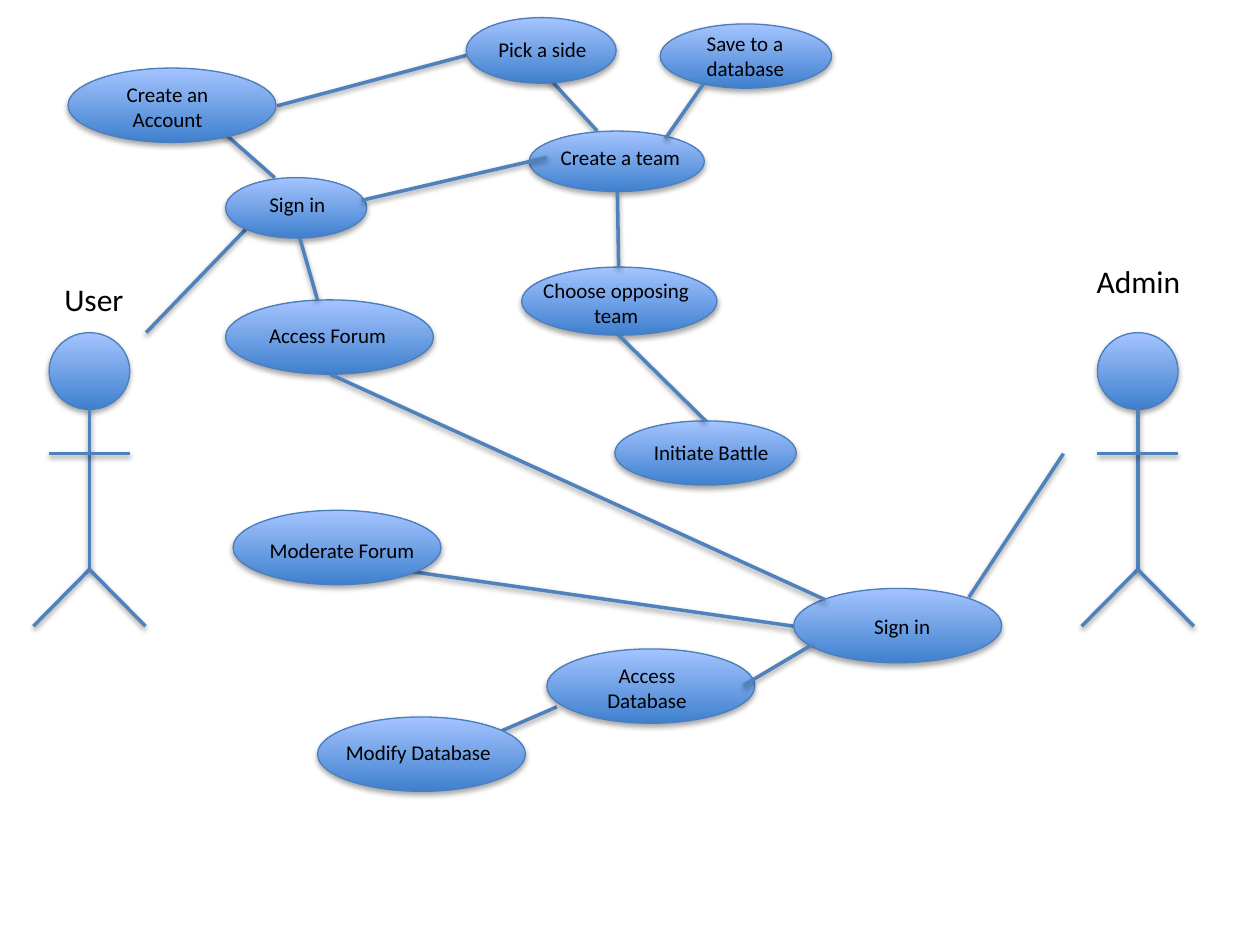
from lxml import etree
from pptx import Presentation
from pptx.dml.color import RGBColor
from pptx.enum.shapes import MSO_CONNECTOR, MSO_SHAPE
from pptx.enum.text import MSO_AUTO_SIZE, PP_ALIGN
from pptx.oxml.ns import nsdecls, qn
from pptx.util import Inches, Pt

LINE, OVAL = MSO_CONNECTOR.STRAIGHT, MSO_SHAPE.OVAL
LEFT, CENTER = PP_ALIGN.LEFT, PP_ALIGN.CENTER
FIT = MSO_AUTO_SIZE.SHAPE_TO_FIT_TEXT
SLIDE_WIDTH, SLIDE_HEIGHT = 10, 7.5
WIDE = (1.65, 0.59)
ONE_ROW, TWO_ROWS = 0.3, 0.5

ACTORS = [
    ("User", 0.71, (0.12, 2.17, 1.25, 0.4)),
    ("Admin", 9.03, (8.59, 2.03, 0.89, 0.4)),
]
HEAD_SIZE = (0.64, 0.61)
HEAD_TOP, NECK, ARMS, HIPS, FEET = 2.64, 3.24, 3.6, 4.52, 4.97
STRIDE = 0.445

USE_CASES = [
    ("Sign in", (1.79, 1.41), (1.12, 0.48), (1.95, 1.47, 0.82, ONE_ROW), CENTER),
    ("Pick a side", (3.7, 0.14), (1.19, 0.52), (3.15, 0.24, 2.31, ONE_ROW), CENTER),
    ("Create a team", (4.2, 1.04), (1.39, 0.48), (4.16, 1.1, 1.53, ONE_ROW), CENTER),
    ("Choose opposing team", (4.14, 2.12), (1.55, 0.54), (4.19, 2.15, 1.4, TWO_ROWS), CENTER),
    ("Initiate Battle", (4.88, 3.34), (1.44, 0.51), (4.78, 3.44, 1.73, ONE_ROW), CENTER),
    ("Save to a database", (5.24, 0.19), (1.36, 0.51), (5.51, 0.19, 1.09, TWO_ROWS), LEFT),
    ("Modify Database", (2.52, 5.69), WIDE, (2.52, 5.82, 1.6, ONE_ROW), CENTER),
    ("Access Database", (4.34, 5.15), WIDE, (4.51, 5.21, 1.25, TWO_ROWS), CENTER),
    ("Sign in", (6.3, 4.67), WIDE, (6.44, 4.82, 1.44, ONE_ROW), CENTER),
    ("Create an Account", (0.54, 0.54), WIDE, (0.71, 0.6, 1.24, TWO_ROWS), CENTER),
    ("Access Forum", (1.79, 2.38), WIDE, (1.85, 2.51, 1.5, ONE_ROW), CENTER),
    ("Moderate Forum", (1.85, 4.05), WIDE, (1.98, 4.22, 1.47, ONE_ROW), CENTER),
]
LINKS_BEHIND = [
    ((1.16, 2.64), (1.95, 1.82)),
    ((8.44, 3.6), (7.69, 4.74)),
    ((2.2, 0.84), (3.7, 0.44)),
    ((4.34, 0.6), (4.74, 1.04)),
    ((3.96, 5.81), (4.42, 5.61)),
    ((2.18, 1.41), (1.76, 1.04)),
    ((6.3, 4.97), (3.15, 4.52)),
]
LINKS_IN_FRONT = [
    ((4.34, 1.25), (2.87, 1.59)),
    ((5.28, 1.1), (5.58, 0.67)),
    ((5.9, 5.44), (6.44, 5.12)),
    ((4.9, 1.52), (4.91, 2.12)),
    ((4.91, 2.66), (5.6, 3.34)),
    ((2.38, 1.89), (2.52, 2.38)),
    ((6.55, 4.76), (2.62, 2.97)),
]


def color(value):
    return RGBColor.from_string(value)


def inches(*lengths):
    return [Inches(length) for length in lengths]


def add_shadow(item, distance, opacity):
    properties = item._element.find(qn("p:spPr"))
    properties.append(etree.fromstring(
        f'<a:effectLst {nsdecls("a")}>'
        f'<a:outerShdw blurRad="{Pt(3.15)}" dist="{Pt(distance)}" dir="5400000" rotWithShape="0">'
        f'<a:srgbClr val="000000"><a:alpha val="{opacity * 1000}"/></a:srgbClr>'
        '</a:outerShdw></a:effectLst>'))


def add_line(page, start, end):
    line = page.shapes.add_connector(LINE, *inches(*start, *end))
    line.line.color.rgb = color("4F81BD")
    line.line.width = Pt(2)
    add_shadow(line, 1.6, 38)


def add_oval(page, corner, size):
    oval = page.shapes.add_shape(OVAL, *inches(*corner, *size))
    oval.fill.gradient()
    oval.fill.gradient_angle = 90
    for stop, value in zip(oval.fill.gradient_stops, ("3F80CE", "A4C4FF")):
        stop.color.rgb = color(value)
    oval.line.color.rgb = color("4B7EBC")
    oval.line.width = Pt(0.75)
    add_shadow(oval, 1.8, 35)


def add_text(page, text, area, size=12, align=CENTER):
    box = page.shapes.add_textbox(*inches(*area))
    box.text_frame.word_wrap = True
    box.text_frame.auto_size = FIT
    para = box.text_frame.paragraphs[0]
    para.alignment = align
    span = para.add_run()
    span.text = text
    span.font.name = "Calibri"
    span.font.size = Pt(size)
    span.font.color.rgb = color("000000")


def add_actor(page, name, middle, area):
    half = HEAD_SIZE[0] / 2
    add_oval(page, (middle - half, HEAD_TOP), HEAD_SIZE)
    add_line(page, (middle, NECK), (middle, HIPS))
    add_line(page, (middle - half, ARMS), (middle + half, ARMS))
    for side in (-1, 1):
        add_line(page, (middle, HIPS), (middle + side * STRIDE, FEET))
    add_text(page, name, area, size=18)


def main():
    """Build the use case diagram slide."""
    deck = Presentation()
    deck.slide_width, deck.slide_height = inches(SLIDE_WIDTH, SLIDE_HEIGHT)
    page = deck.slides.add_slide(deck.slide_layouts[6])
    for actor in ACTORS:
        add_actor(page, *actor)
    for link in LINKS_BEHIND:
        add_line(page, *link)
    for name, corner, size, area, align in USE_CASES:
        add_oval(page, corner, size)
    for link in LINKS_IN_FRONT:
        add_line(page, *link)
    for name, corner, size, area, align in USE_CASES:
        add_text(page, name, area, align=align)
    deck.save("out.pptx")


main()
